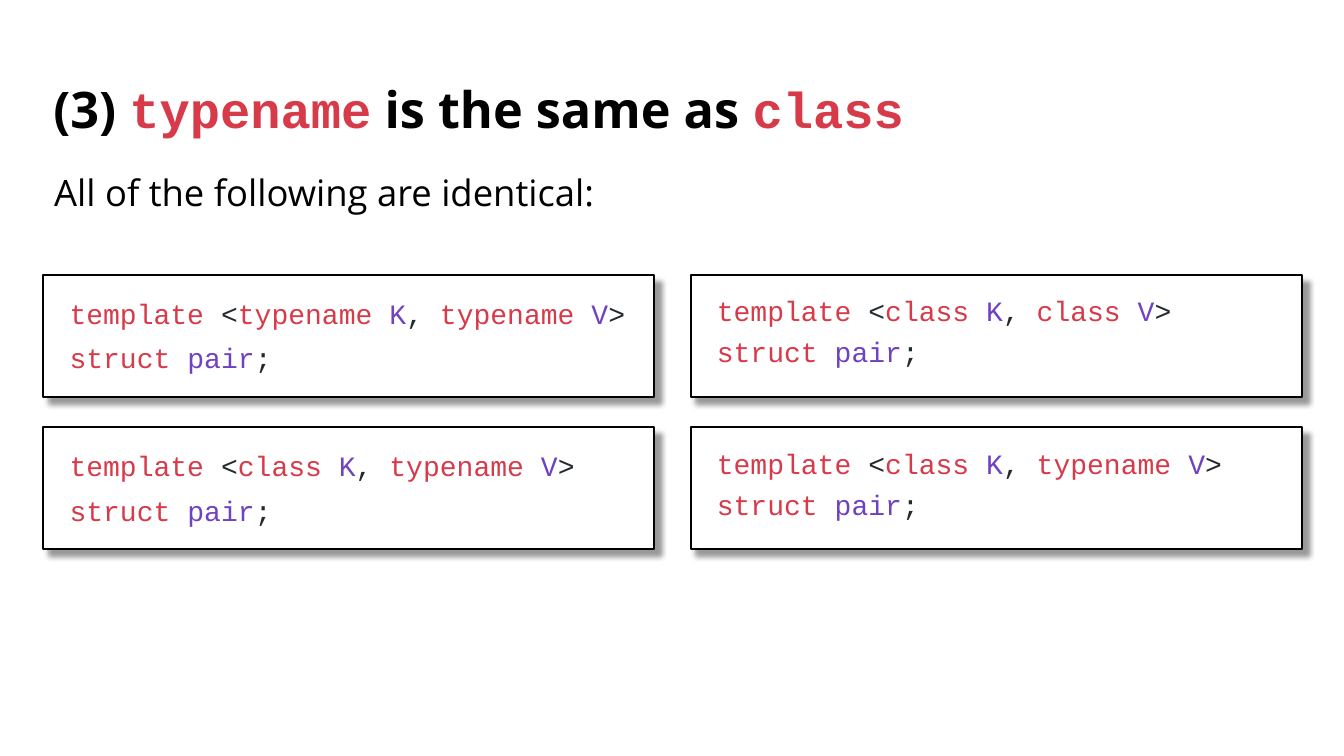
import dataclasses

import lxml.etree
import pptx
import pptx.dml.color
import pptx.enum.shapes
import pptx.enum.text
import pptx.oxml.ns
import pptx.util

SCALE = 9144


@dataclasses.dataclass(frozen=True)
class Theme:
    sans: str = "Open Sans"
    mono: str = "Courier New"
    black: str = "000000"
    white: str = "FFFFFF"
    accent: str = "D73A48"
    keyword: str = "D73A49"
    name: str = "6F42C1"
    plain: str = "24292E"
    head: int = 36
    body: int = 26
    code: int = 20


def px(num):
    return pptx.util.Emu(num * SCALE)


def rgb(code):
    return pptx.dml.color.RGBColor.from_string(code)


def write(para, text, font, size, color, bold=False):
    run = para.add_run()
    run.text = text
    run.font.name = font
    run.font.size = pptx.util.Pt(size)
    run.font.color.rgb = rgb(color)
    run.font.bold = bold


class Deck:
    def __init__(self, theme):
        self.theme = theme
        self.file = pptx.Presentation()
        self.file.slide_width = px(1333)
        self.file.slide_height = px(750)
        self.slide = self.file.slides.add_slide(self.file.slide_layouts[5])

    def frame(self, shape, inset=None, anchor="TOP"):
        frame = shape.text_frame
        frame.word_wrap = True
        frame.auto_size = pptx.enum.text.MSO_AUTO_SIZE.NONE
        frame.vertical_anchor = getattr(pptx.enum.text.MSO_ANCHOR, anchor)
        if inset is not None:
            frame.margin_left = frame.margin_right = px(inset)
            frame.margin_top = frame.margin_bottom = px(inset)
        return frame

    def format(self, para, space, before=0, indent=0):
        para.alignment = pptx.enum.text.PP_ALIGN.LEFT
        para.line_spacing = space
        para.space_before = pptx.util.Pt(before)
        para._p.get_or_add_pPr().set("marL", str(px(indent)))

    def title(self, parts, left, top, width, height):
        shape = self.slide.shapes.title
        shape.left, shape.top = px(left), px(top)
        shape.width, shape.height = px(width), px(height)
        para = self.frame(shape, anchor="MIDDLE").paragraphs[0]
        self.format(para, 0.9)
        look = self.theme
        for text, code in parts:
            write(para, text, font=look.mono if code else look.sans,
                  size=look.head, bold=True,
                  color=look.accent if code else look.black)

    def text(self, text, left, top, width, height):
        box = self.slide.shapes.add_textbox(
            px(left), px(top), px(width), px(height))
        para = self.frame(box).paragraphs[0]
        self.format(para, 0.9, before=10, indent=1)
        write(para, text, font=self.theme.sans, size=self.theme.body,
              color=self.theme.black)

    def shadow(self, shape):
        shape.shadow.inherit = False
        effects = shape._element.spPr.find(pptx.oxml.ns.qn("a:effectLst"))
        outer = lxml.etree.SubElement(
            effects, pptx.oxml.ns.qn("a:outerShdw"),
            blurRad=str(pptx.util.Pt(4)), dist=str(pptx.util.Pt(6)),
            dir="2700000", algn="tl", rotWithShape="0")
        color = lxml.etree.SubElement(
            outer, pptx.oxml.ns.qn("a:srgbClr"), val=self.theme.black)
        lxml.etree.SubElement(color, pptx.oxml.ns.qn("a:alpha"), val="40000")

    def code(self, lines, left, top, width, height, space):
        box = self.slide.shapes.add_shape(
            pptx.enum.shapes.MSO_SHAPE.RECTANGLE,
            px(left), px(top), px(width), px(height))
        box.fill.solid()
        box.fill.fore_color.rgb = rgb(self.theme.white)
        box.line.color.rgb = rgb(self.theme.black)
        box.line.width = pptx.util.Pt(1.5)
        self.shadow(box)
        frame = self.frame(box, inset=25)
        for row, parts in enumerate(lines):
            para = frame.add_paragraph() if row else frame.paragraphs[0]
            self.format(para, space, before=10, indent=1)
            for text, color in parts:
                write(para, text, font=self.theme.mono,
                      size=self.theme.code, color=color)


def pair(theme, first, second):
    key, name, plain = theme.keyword, theme.name, theme.plain
    return [
        [("template", key), (" <", plain), (first + " ", key), ("K", name),
         (", ", plain), (second + " ", key), ("V", name), (">", plain)],
        [("struct ", key), ("pair", name), (";", plain)],
    ]


def main():
    theme = Theme()
    deck = Deck(theme)
    deck.title([("(3) ", False), ("typename", True),
                (" is the same as ", False), ("class", True)],
               43, 69, 1247, 84)
    deck.text("All of the following are identical:", 43, 169, 1247, 56)
    kinds = [("typename", "typename"), ("class", "class"),
             ("class", "typename"), ("class", "typename")]
    for spot, (first, second) in enumerate(kinds):
        row, col = divmod(spot, 2)
        deck.code(pair(theme, first, second), 43 + col * 642,
                  273 + row * 151, 606, 121, space=0.8 if col else 0.9)
    deck.file.save("out.pptx")


if __name__ == "__main__":
    main()
